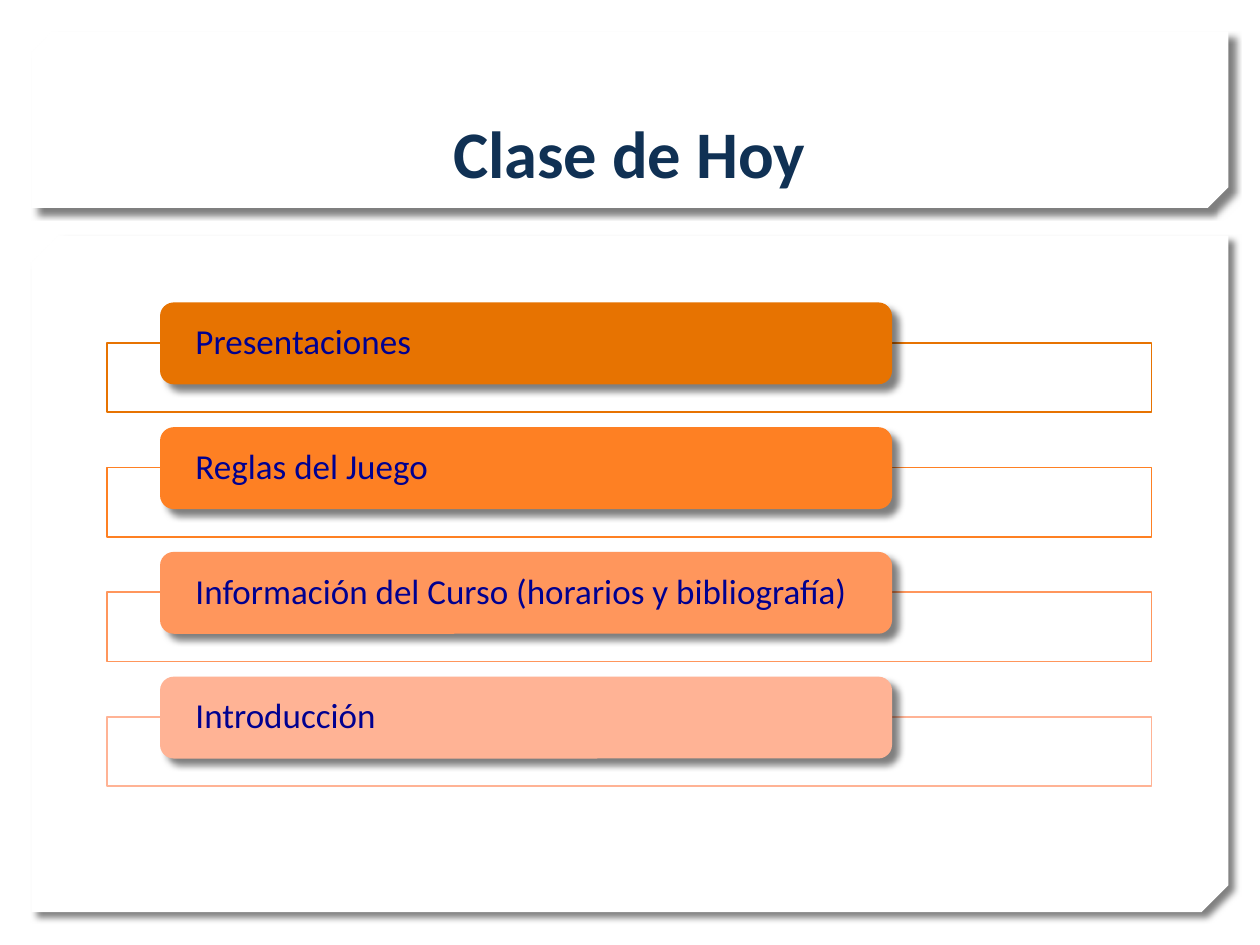
from lxml.etree import SubElement
from pptx import Presentation
from pptx.dml.color import RGBColor as RGB
from pptx.enum.shapes import MSO_SHAPE as SHAPE
from pptx.enum.text import MSO_ANCHOR as ANCHOR, PP_ALIGN as ALIGN
from pptx.oxml.ns import qn
from pptx.util import Inches, Pt

TITLE = "Clase de Hoy"
TOPICS = [
    ("Presentaciones", "E77301"),
    ("Reglas del Juego", "FE8023"),
    ("Información del Curso (horarios y bibliografía)", "FF965C"),
    ("Introducción", "FFB395"),
]
PANELS = [
    ((0.25, 1.87, 9.5, 5.37), 0.04),
    ((0.25, 0.25, 9.5, 1.4), 0.117),
]
THEME = {
    "font": "Calibri",
    "panel": "FFFFFF",
    "shadow": "000000",
    "title": {"size": Pt(38), "bold": True, "color": "103154"},
    "topic": {"size": Pt(20), "bold": False, "color": "000090"},
}
TITLE_BOX = (0.85, 0.32, 8.29, 1.25)
FIRST_TOP, STEP = 2.4, 0.99
PILL_LEFT, PILL_W, PILL_H = 1.27, 5.81, 0.65
BAR_LEFT, BAR_DROP, BAR_W, BAR_H = 0.85, 0.32, 8.29, 0.55


def add_box(slide, kind, box, fill):
    s = slide.shapes.add_shape(kind, *map(Inches, box))
    s.shadow.inherit = False
    s.fill.solid()
    s.fill.fore_color.rgb = RGB.from_string(fill)
    s.line.fill.background()
    return s


def set_alpha(color, percent):
    SubElement(color, qn("a:alpha")).set("val", str(percent * 1000))


def cast_shadow(s):
    effects = s.element.spPr.find(qn("a:effectLst"))
    shadow = SubElement(effects, qn("a:outerShdw"))
    values = {"blurRad": Pt(4), "dist": Pt(5), "dir": 45 * 60000,
              "algn": "tl", "rotWithShape": 0}
    for name, value in values.items():
        shadow.set(name, str(value))
    color = SubElement(shadow, qn("a:srgbClr"))
    color.set("val", THEME["shadow"])
    set_alpha(color, 50)


def write(s, text, style, frame, para):
    tf = s.text_frame
    for name, value in {"word_wrap": True, **frame}.items():
        setattr(tf, name, value)
    p = tf.paragraphs[0]
    for name, value in para.items():
        setattr(p, name, value)
    r = p.add_run()
    r.text = text
    for name in ("size", "bold"):
        setattr(r.font, name, style[name])
    r.font.name = THEME["font"]
    r.font.color.rgb = RGB.from_string(style["color"])


def add_panel(slide, box, snip):
    s = add_box(slide, SHAPE.SNIP_2_DIAG_RECTANGLE, box, THEME["panel"])
    s.adjustments[0], s.adjustments[1] = 0, snip
    s.element.spPr.find(qn("a:xfrm")).set("flipV", "1")
    cast_shadow(s)


def add_topic(slide, top, text, color):
    bar = add_box(slide, SHAPE.RECTANGLE,
                  (BAR_LEFT, top + BAR_DROP, BAR_W, BAR_H), THEME["panel"])
    set_alpha(bar.element.spPr.find(qn("a:solidFill"))[0], 90)
    bar.line.color.rgb = RGB.from_string(color)
    bar.line.width = Pt(1)
    pill = add_box(slide, SHAPE.ROUNDED_RECTANGLE,
                   (PILL_LEFT, top, PILL_W, PILL_H), color)
    cast_shadow(pill)
    frame = {"vertical_anchor": ANCHOR.MIDDLE,
             "margin_left": Inches(0.25), "margin_right": Inches(0.25),
             "margin_top": 0, "margin_bottom": 0}
    write(pill, text, THEME["topic"], frame,
          {"alignment": ALIGN.LEFT, "line_spacing": 0.9})


def main():
    """Build the class agenda slide."""
    prs = Presentation()
    prs.slide_width, prs.slide_height = Inches(10), Inches(7.5)
    slide = prs.slides.add_slide(prs.slide_layouts[6])
    for box, snip in PANELS:
        add_panel(slide, box, snip)
    title = slide.shapes.add_textbox(*map(Inches, TITLE_BOX))
    write(title, TITLE, THEME["title"], {"vertical_anchor": ANCHOR.BOTTOM},
          {"alignment": ALIGN.CENTER})
    for i, (text, color) in enumerate(TOPICS):
        add_topic(slide, FIRST_TOP + i * STEP, text, color)
    prs.save("out.pptx")


if __name__ == "__main__":
    main()
